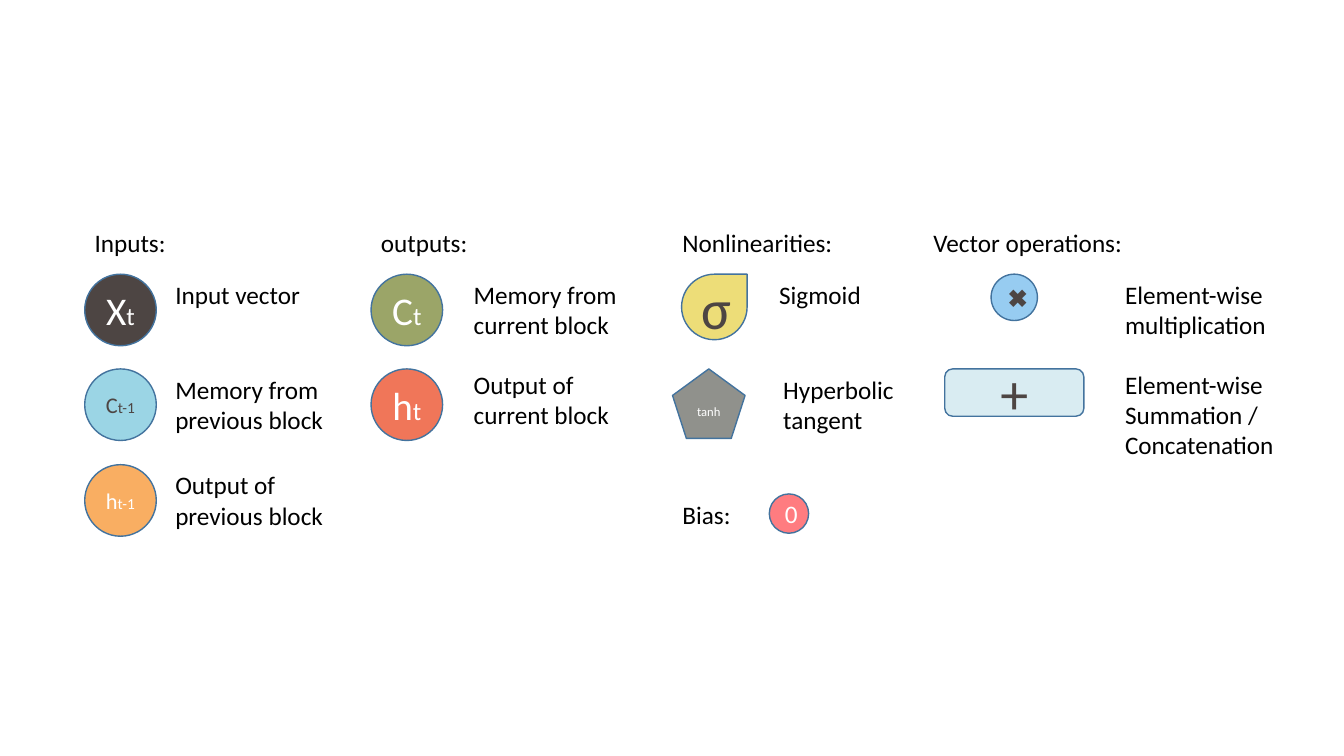
import pptx
import pptx.util
import pptx.dml.color
import pptx.enum.shapes
import pptx.enum.text

Inches = pptx.util.Inches
Pt = pptx.util.Pt
RGBColor = pptx.dml.color.RGBColor
Shape = pptx.enum.shapes.MSO_SHAPE
Align = pptx.enum.text.PP_ALIGN
Anchor = pptx.enum.text.MSO_ANCHOR

BLACK = RGBColor(0x00, 0x00, 0x00)
WHITE = RGBColor(0xFF, 0xFF, 0xFF)
DARK = RGBColor(0x4D, 0x45, 0x43)
EDGE = RGBColor(0x43, 0x73, 0x9E)
ORANGE = RGBColor(0xF9, 0xAE, 0x62)
SKY = RGBColor(0x9B, 0xD5, 0xE5)
CORAL = RGBColor(0xF0, 0x76, 0x59)
OLIVE = RGBColor(0x9B, 0xA5, 0x68)
PINK = RGBColor(0xFF, 0x7C, 0x80)
YELLOW = RGBColor(0xED, 0xDD, 0x78)
PALE = RGBColor(0xD9, 0xEC, 0xF2)
BLUE = RGBColor(0x97, 0xCC, 0xF1)
GRAY = RGBColor(0x90, 0x91, 0x8C)

TOP = 2.21
DISC = 0.71
ROWS = [0.51, 1.45, 2.4]


def write(frame, text, size=18, color=BLACK, align=Align.LEFT, sub="", small=18):
    frame.word_wrap = True
    for i, line in enumerate(text.split("\n")):
        para = frame.paragraphs[0] if i == 0 else frame.add_paragraph()
        para.alignment = align
        for part, points in ((line, size), (sub, small)):
            if part:
                run = para.add_run()
                run.text = part
                run.font.name = "Calibri"
                run.font.size = Pt(points)
                run.font.color.rgb = color


def label(slide, text, left, top, width=1.76, height=0.71):
    box = slide.shapes.add_textbox(Inches(left), Inches(top), Inches(width), Inches(height))
    write(box.text_frame, text)


def symbol(slide, kind, box, fill, text, **style):
    shape = slide.shapes.add_shape(kind, *[Inches(v) for v in box])
    shape.shadow.inherit = False
    shape.fill.solid()
    shape.fill.fore_color.rgb = fill
    shape.line.color.rgb = EDGE
    shape.line.width = Pt(1)
    shape.text_frame.vertical_anchor = Anchor.MIDDLE
    write(shape.text_frame, text, align=Align.CENTER, **style)


def discs(slide, left, top, title, gap, items):
    label(slide, title, left, top, height=0.4)
    for row, (fill, text, style, note, shift) in zip(ROWS, items):
        symbol(slide, Shape.OVAL, (left, top + row, DISC, DISC), fill, text, **style)
        label(slide, note, left + gap, top + row + shift)


def curves(slide, left, top):
    label(slide, "Nonlinearities:", left, top, 2.1, 0.4)
    symbol(slide, Shape.TEAR, (left + 0.09, top + ROWS[0], 0.65, 0.65),
           YELLOW, "σ", size=40, color=DARK)
    label(slide, "Sigmoid", left + 0.96, top + ROWS[0], height=0.4)
    symbol(slide, Shape.REGULAR_PENTAGON, (left, top + ROWS[1], 0.72, 0.69),
           GRAY, "tanh", size=9, color=WHITE)
    label(slide, "Hyperbolic tangent", left + 1, top + ROWS[1])
    label(slide, "Bias:", left, top + 2.69, 2.1, 0.4)
    symbol(slide, Shape.OVAL, (left + 0.96, top + 2.69, 0.39, 0.39),
           PINK, "0", color=WHITE)


def vectors(slide, left, top):
    label(slide, "Vector operations:", left, top, 2.1, 0.4)
    symbol(slide, Shape.OVAL, (left + 0.67, top + ROWS[0], 0.46, 0.46),
           BLUE, "✖", color=DARK)
    label(slide, "Element-wise\nmultiplication", left + 1.9, top + ROWS[0])
    symbol(slide, Shape.ROUNDED_RECTANGLE, (left + 0.21, top + ROWS[1], 1.38, 0.47),
           PALE, "+", size=40, color=DARK)
    label(slide, "Element-wise\nSummation /\nConcatenation",
          left + 1.9, top + 1.4, height=1.01)


deck = pptx.Presentation()
deck.slide_width = Inches(13.33)
deck.slide_height = Inches(7.5)
slide = deck.slides.add_slide(deck.slide_layouts[6])

large = dict(size=28, color=WHITE, sub="t")
prior = dict(size=16, sub="t-1", small=11)
discs(slide, 0.84, TOP, "Inputs:", 0.8, [
    (DARK, "X", large, "Input vector", 0),
    (SKY, "C", dict(prior, color=DARK), "Memory from previous block", 0),
    (ORANGE, "h", dict(prior, color=WHITE), "Output of previous block", 0),
])
discs(slide, 3.68, TOP, "outputs:", 0.92, [
    (OLIVE, "C", large, "Memory from current block", 0),
    (CORAL, "h", large, "Output of current block", -0.05),
])
curves(slide, 6.67, TOP)
vectors(slide, 9.16, TOP)

deck.save("out.pptx")
